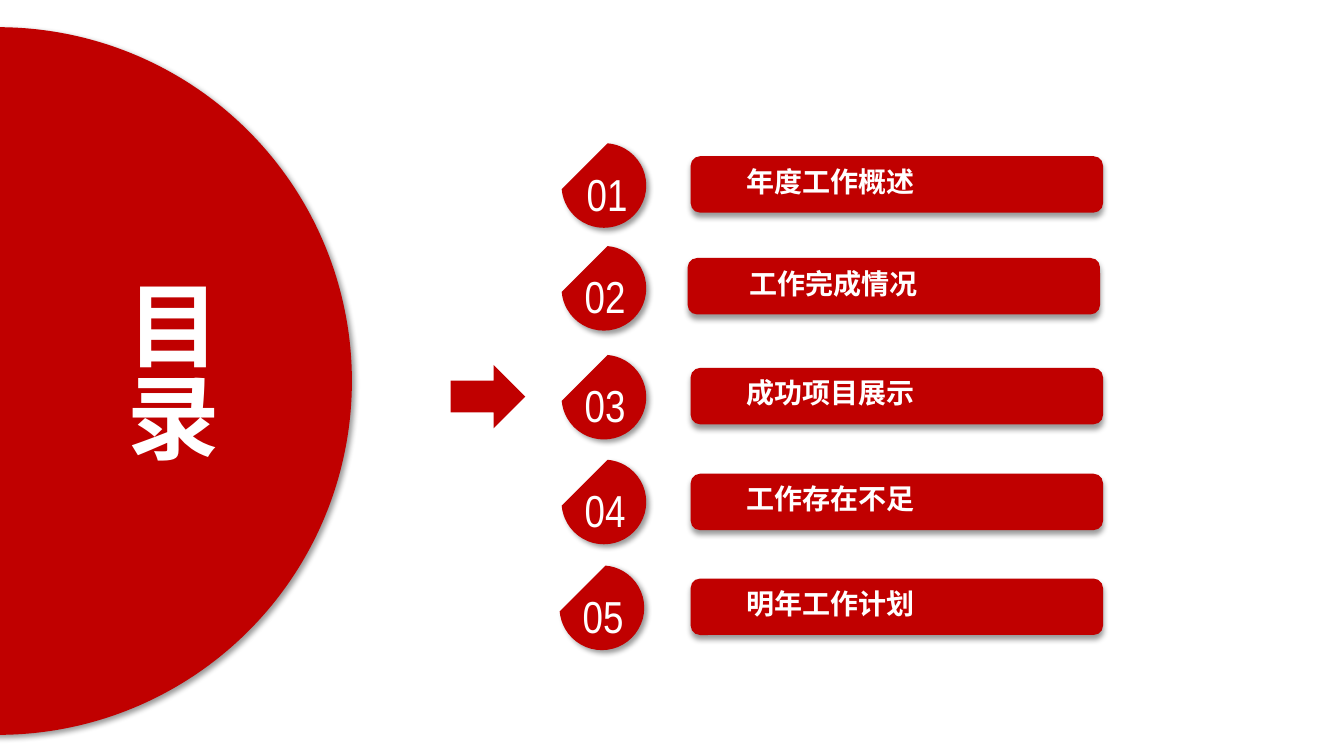
from lxml.etree import SubElement
from pptx import Presentation
from pptx.dml.color import RGBColor
from pptx.enum.shapes import MSO_SHAPE
from pptx.enum.text import MSO_ANCHOR, PP_ALIGN
from pptx.oxml.ns import qn
from pptx.util import Emu, Pt

EMU_PER_PX = 9144
EMU_PER_PT = 12700
COLORS = {"red": "C00000", "white": "FFFFFF", "shadow": "000000"}
CHINESE_FONT = "Noto Sans CJK SC"
NUMBER_FONT = "Arial Narrow"
CHORD_DEGREES = (275, 175)
BADGE_SIZE = 84
BAR_WIDTH, BAR_HEIGHT = 409, 56
LABEL_HEIGHT = 47

# badge left, badge top, number left, bar left, bar top, label left, label width
SECTIONS = [
    ("年度工作概述", 557, 142, 572, 685, 155, 727, 290),
    ("工作完成情况", 557, 244, 570, 682, 256, 730, 290),
    ("成功项目展示", 557, 352, 570, 685, 365, 727, 299),
    ("工作存在不足", 557, 456, 570, 685, 470, 727, 299),
    ("明年工作计划", 555, 561, 568, 685, 574, 727, 299),
]


def px(*lengths):
    """Turn pixel lengths into EMU."""
    return [Emu(length * EMU_PER_PX) for length in lengths]


def add_shadow(shape, direction):
    """Give a shape a soft outer shadow cast at an angle in degrees."""
    effects = shape._element.spPr.find(qn("a:effectLst"))
    shadow = SubElement(
        effects,
        qn("a:outerShdw"),
        blurRad=str(4 * EMU_PER_PT),
        dist=str(3 * EMU_PER_PT),
        dir=str(direction * 60000),
        algn="tl",
        rotWithShape="0",
    )
    color = SubElement(shadow, qn("a:srgbClr"), val=COLORS["shadow"])
    SubElement(color, qn("a:alpha"), val="40000")


def add_red_shape(slide, kind, box, shadow_direction=None):
    """Add a red preset shape without an outline."""
    shape = slide.shapes.add_shape(kind, *px(*box))
    shape.fill.solid()
    shape.fill.fore_color.rgb = RGBColor.from_string(COLORS["red"])
    shape.line.fill.background()
    shape.shadow.inherit = False
    if shadow_direction is not None:
        add_shadow(shape, shadow_direction)
    return shape


def write_text(shape, text, *, size, font, bold=False, align=PP_ALIGN.LEFT,
               anchor=MSO_ANCHOR.MIDDLE, margins=(13, 7), line_spacing=None):
    """Write white text into a shape, one paragraph per line."""
    frame = shape.text_frame
    frame.word_wrap = True
    frame.vertical_anchor = anchor
    horizontal, vertical = px(*margins)
    frame.margin_left = frame.margin_right = horizontal
    frame.margin_top = frame.margin_bottom = vertical
    frame.text = text
    for paragraph in frame.paragraphs:
        paragraph.alignment = align
        paragraph.line_spacing = line_spacing
        for run in paragraph.runs:
            run.font.size = Pt(size)
            run.font.bold = bold
            run.font.name = font
            run.font.color.rgb = RGBColor.from_string(COLORS["white"])
            SubElement(run.font._element, qn("a:ea"), typeface=font)


def add_title(slide):
    """Add the large disc and the title on it."""
    add_red_shape(slide, MSO_SHAPE.OVAL, (-353, 27, 702, 702), 45)
    title = add_red_shape(slide, MSO_SHAPE.RECTANGLE, (100, 258, 145, 236))
    write_text(title, "目\n录", size=66, font=CHINESE_FONT, bold=True,
               align=PP_ALIGN.CENTER, line_spacing=0.83)


def add_badge(slide, number, left, top, number_left):
    """Add a cut disc with a two-digit number."""
    box = (left, top, BADGE_SIZE, BADGE_SIZE)
    badge = add_red_shape(slide, MSO_SHAPE.CHORD, box, 45)
    for index, degrees in enumerate(CHORD_DEGREES):
        badge.adjustments[index] = degrees * 0.6
    text_box = slide.shapes.add_textbox(*px(number_left, top + 18, 73, 64))
    write_text(text_box, f"{number:02d}", size=32, font=NUMBER_FONT,
               anchor=MSO_ANCHOR.TOP, margins=(10, 5))


def add_bar(slide, text, left, top, label_left, label_width):
    """Add a rounded bar with a section name."""
    box = (left, top, BAR_WIDTH, BAR_HEIGHT)
    add_red_shape(slide, MSO_SHAPE.ROUNDED_RECTANGLE, box, 90)
    label_box = (label_left, top + 4, label_width, LABEL_HEIGHT)
    label = add_red_shape(slide, MSO_SHAPE.RECTANGLE, label_box)
    write_text(label, text, size=20, font=CHINESE_FONT, bold=True, line_spacing=0.83)


def main():
    """Build the contents slide and save it."""
    presentation = Presentation()
    presentation.slide_width, presentation.slide_height = px(1333, 750)
    slide = presentation.slides.add_slide(presentation.slide_layouts[6])
    add_title(slide)
    for number, section in enumerate(SECTIONS, start=1):
        text, badge_left, badge_top, number_left, *bar = section
        add_badge(slide, number, badge_left, badge_top, number_left)
        add_bar(slide, text, *bar)
    add_red_shape(slide, MSO_SHAPE.RIGHT_ARROW, (447, 362, 74, 63))
    presentation.save("out.pptx")


if __name__ == "__main__":
    main()
